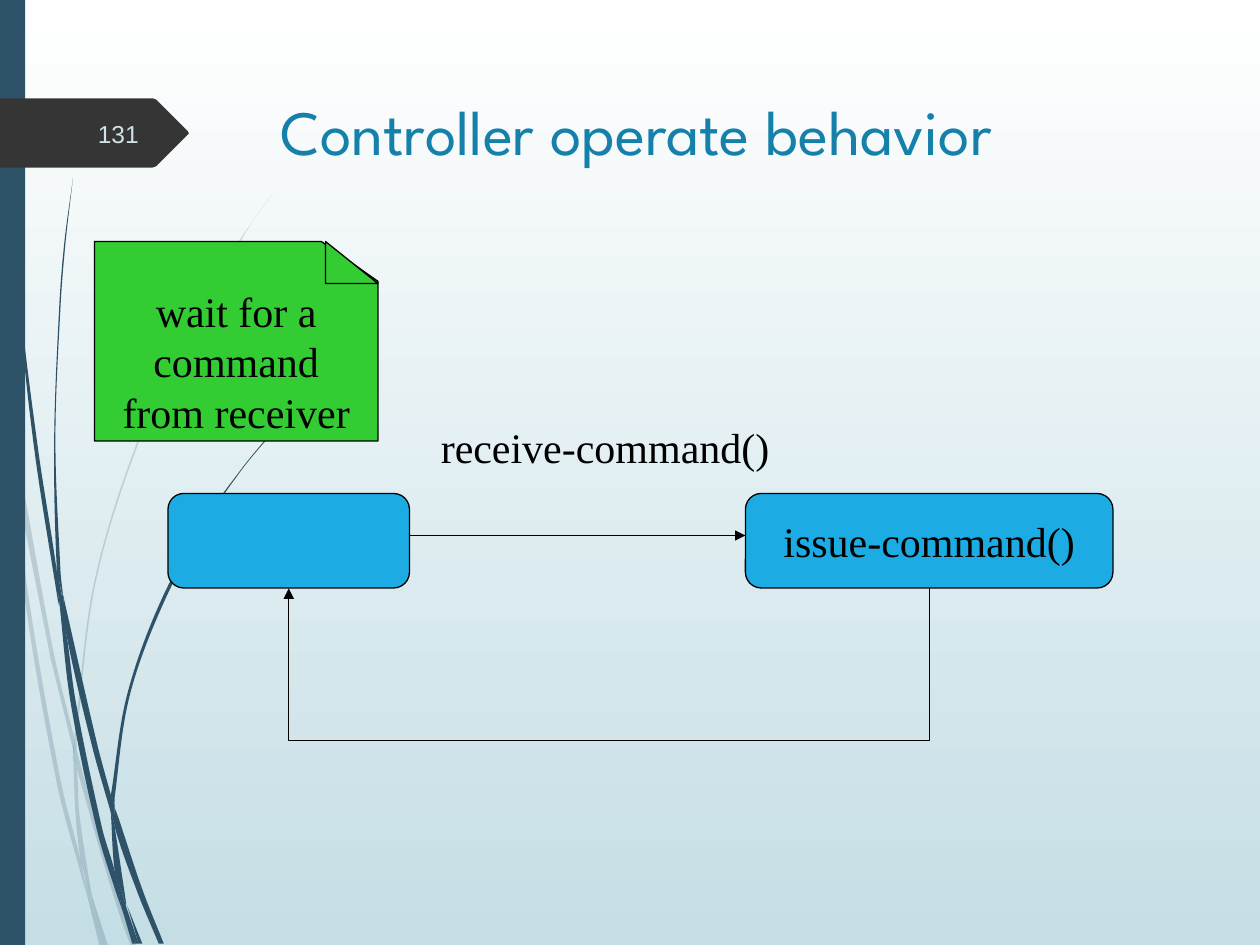
from dataclasses import dataclass
from math import dist

from lxml.etree import SubElement
from pptx import Presentation
from pptx.dml.color import RGBColor
from pptx.enum.shapes import MSO_CONNECTOR, MSO_SHAPE
from pptx.enum.text import MSO_ANCHOR, MSO_AUTO_SIZE, PP_ALIGN
from pptx.oxml.ns import qn
from pptx.util import Emu, Inches, Pt


@dataclass(frozen=True)
class Theme:
    """Colours, fonts and type sizes of the slide."""
    sky: str = "FFFFFF"
    haze: str = "C5DEE5"
    navy: str = "2E5369"
    badge: str = "353535"
    number: str = "CFE2E7"
    title: str = "1581AA"
    state: str = "1CACE3"
    note: str = "33CC33"
    ink: str = "000000"
    title_font: str = "League Spartan"
    number_font: str = "Arial"
    body_font: str = "Times New Roman"
    title_size: int = 36
    number_size: int = 14
    body_size: int = 24
    line_width: float = 0.75


THEME = Theme()
CELL = Inches(1) // 12

PALE_STRANDS = [
    ([(0.08, 3.5), (0.06, 3.22), (0, 2.82)], [(0, 2.99), (0.07, 3.44), (0.08, 3.5)]),
    ([(0.4, 5.22), (0.59, 5.99)],
     [(0.59, 5.86), (0.43, 5.2), (0.1, 3.45), (0.12, 3.76), (0.4, 5.22)]),
    ([(0.64, 6.07), (0.61, 5.96)],
     [(0.61, 6.1), (0.85, 6.94), (1.04, 7.51), (1.08, 7.51), (0.88, 6.92), (0.64, 6.07)]),
    ([(0.83, 7.51), (0.86, 7.51)], [(0.73, 7.11), (0.83, 7.51)]),
    ([(0.7, 7.14), (0.64, 6.83), (0.48, 6.19), (0.22, 4.69), (0.12, 3.76), (0.08, 3.5)],
     [(0.08, 3.5), (0.19, 4.7), (0.45, 6.21), (0.64, 6.93), (0.7, 7.14)]),
    ([(0.58, 5.99), (0.6, 6.46), (0.64, 6.83), (0.67, 6.92), (0.73, 7.11)],
     [(0.73, 7.11), (0.72, 7.06), (0.63, 6.46), (0.61, 6.1), (0.58, 5.99)]),
    ([(0.61, 5.96), (0.61, 5.84), (0.76, 4.62), (1.11, 3.49), (1.59, 2.45), (1.87, 1.98),
      (2.01, 1.75), (2.17, 1.53)],
     [(2.17, 1.53), (2.01, 1.75), (1.86, 1.97), (1.58, 2.44), (1.1, 3.48), (0.75, 4.61),
      (0.59, 5.84)]),
    ([(0.7, 7.14), (0.79, 7.51)], [(0.82, 7.51), (0.7, 7.14)]),
    ([(0.61, 6.1), (0.61, 5.96)], [(0.59, 5.86), (0.58, 5.99), (0.61, 6.08)]),
    ([(0.83, 7.51), (0.73, 7.11), (0.67, 6.92), (0.65, 6.83)],
     [(0.65, 6.83), (0.69, 7.07), (0.7, 7.14), (0.82, 7.51)]),
]
DARK_STRANDS = [
    ([(0.02, 0), (0.03, 0.48), (0.05, 1.1), (0.14, 2.33), (0.27, 3.55), (0.46, 4.77),
      (0.47, 4.81)],
     [(0.47, 4.81), (0.45, 4.53), (0.3, 3.55), (0.15, 2.32), (0.06, 1.09), (0.04, 0.48),
      (0.03, 0)]),
    ([(0.5, 4.72), (0.53, 5.05), (0.73, 5.92), (0.88, 6.45)],
     [(0.88, 6.31), (0.77, 5.9), (0.5, 4.72)]),
    ([(0.91, 6.41), (0.91, 6.56), (1.09, 7.08), (1.26, 7.49)],
     [(1.3, 7.49), (1.13, 7.06), (0.94, 6.49), (0.91, 6.41)]),
    ([(0.97, 7.22), (0.91, 6.91), (0.81, 6.57), (0.6, 5.56), (0.53, 5.05), (0.47, 4.77)],
     [(0.47, 4.77), (0.56, 5.57), (0.77, 6.59), (0.92, 7.08), (0.97, 7.22)]),
    ([(0.5, 4.72), (0.48, 4.53), (0.44, 3.49), (0.48, 2.44), (0.52, 1.93), (0.58, 1.41)],
     [(0.58, 1.41), (0.51, 1.93), (0.47, 2.44), (0.43, 3.49), (0.45, 4.49), (0.49, 4.71)]),
    ([(1.01, 7.19), (1.1, 7.49)], [(1.13, 7.49), (1.01, 7.19)]),
    ([(0.45, 4.49), (0.45, 4.53), (0.47, 4.77), (0.53, 5.05)],
     [(0.53, 5.05), (0.5, 4.72), (0.49, 4.72), (0.45, 4.49)]),
    ([(0.91, 6.41), (0.91, 6.33), (1.03, 5.52), (1.31, 4.76), (1.69, 4.06), (1.91, 3.74),
      (2.03, 3.59), (2.16, 3.44)],
     [(2.15, 3.44), (2.03, 3.58), (1.91, 3.73), (1.68, 4.05), (1.29, 4.74), (1.01, 5.51),
      (0.88, 6.31)]),
    ([(0.97, 7.22), (1.05, 7.49)], [(1.08, 7.49), (0.97, 7.22)]),
    ([(0.88, 6.45), (0.91, 6.91), (0.96, 7.06), (1, 7.19)],
     [(1, 7.16), (0.91, 6.56), (0.9, 6.51), (0.88, 6.45)]),
    ([(0.88, 6.45), (0.9, 6.51), (0.91, 6.56)], [(0.91, 6.41), (0.88, 6.31), (0.88, 6.45)]),
    ([(1.1, 7.49), (1, 7.19), (0.96, 7.06), (0.91, 6.91)],
     [(0.91, 6.91), (0.96, 7.17), (0.97, 7.22), (1.08, 7.49)]),
]
BADGE_OUTLINE = [(1.5, 1.06), (1.24, 1.32), (1.21, 1.33), (0, 1.33), (0, 0.78),
                 (1.21, 0.78), (1.24, 0.79), (1.49, 1.04)]


def cells(*counts):
    """Turn counts of grid cells into lengths."""
    return [Emu(round(n * CELL)) for n in counts]


def paint(sp, fill, line=None):
    """Give a shape a flat fill and an optional outline."""
    sp.shadow.inherit = False
    sp.fill.solid()
    sp.fill.fore_color.rgb = RGBColor.from_string(fill)
    if line:
        sp.line.color.rgb = RGBColor.from_string(line)
        sp.line.width = Pt(THEME.line_width)
    else:
        sp.line.fill.background()


def write(sp, lines, size, font, color, align=PP_ALIGN.LEFT, anchor=MSO_ANCHOR.TOP, wrap=False):
    """Write one run per paragraph into a shape."""
    tf = sp.text_frame
    tf.auto_size = MSO_AUTO_SIZE.NONE
    tf.word_wrap, tf.vertical_anchor = wrap, anchor
    for i, line in enumerate(lines):
        p = tf.add_paragraph() if i else tf.paragraphs[0]
        p.alignment = align
        r = p.add_run()
        r.text = line
        r.font.size, r.font.name = Pt(size), font
        r.font.color.rgb = RGBColor.from_string(color)


def add_outline(shapes, points, fill):
    """Draw a closed outline through points in inches."""
    corners = [(Inches(x), Inches(y)) for x, y in points]
    builder = shapes.build_freeform(*corners[0])
    builder.add_line_segments(corners[1:])
    sp = builder.convert_to_shape()
    paint(sp, fill)
    return sp


def bend(sp, split):
    """Turn the sides of an outline, which meet at a split, into smooth curves."""
    geometry = sp._element.spPr.find(qn("a:custGeom"))
    pts = [(int(pt.get("x")), int(pt.get("y"))) for pt in geometry.iter(qn("a:pt"))]
    for i, segment in enumerate(list(geometry.iter(qn("a:lnTo"))), 1):
        if i == split:
            continue
        low, high = (0, split - 1) if i < split else (split, len(pts) - 1)
        a, b, c, d = pts[max(i - 2, low)], pts[i - 1], pts[i], pts[min(i + 1, high)]
        segment.tag = qn("a:cubicBezTo")
        for n, (knot, p, q, sign) in enumerate(((b, a, c, 1), (c, b, d, -1))):
            reach = sign * dist(b, c) / (3 * dist(p, q) or 1)
            x, y = (str(round(k + reach * (v - u))) for k, u, v in zip(knot, p, q))
            segment.insert(n, segment.makeelement(qn("a:pt"), {"x": x, "y": y}))


def add_backdrop(prs, s):
    """Put the gradient, the grass strands, the side bar and the badge on the master."""
    master = prs.slide_master
    fill = master.background.fill
    fill.gradient()
    fill.gradient_angle = 270
    for stop, color in zip(fill.gradient_stops, (THEME.sky, THEME.haze)):
        stop.color.rgb = RGBColor.from_string(color)
    for strands, opacity in ((PALE_STRANDS, 20), (DARK_STRANDS, 100)):
        group = s.shapes.add_group_shape()
        for out, back in strands:
            sp = add_outline(group.shapes, out + back, THEME.navy)
            bend(sp, len(out))
            if opacity < 100:
                color = sp._element.spPr.find(qn("a:solidFill"))[0]
                SubElement(color, qn("a:alpha"), val=str(opacity * 1000))
    bar = s.shapes.add_shape(MSO_SHAPE.RECTANGLE, 0, 0, prs.slide_width // 50, prs.slide_height)
    paint(bar, THEME.navy)
    add_outline(s.shapes, BADGE_OUTLINE, THEME.badge)
    for sp in [sp for sp in s.shapes if not sp.is_placeholder]:
        master.shapes._spTree.append(sp._element)


def add_heading(s, title_box, number_box):
    """Place the title and the slide number."""
    title = s.shapes.title
    title.left, title.top, title.width, title.height = cells(*title_box)
    write(title, ["Controller operate behavior"], THEME.title_size, THEME.title_font,
          THEME.title, wrap=True)
    number = s.shapes.add_textbox(*cells(*number_box))
    write(number, ["131"], THEME.number_size, THEME.number_font, THEME.number,
          PP_ALIGN.RIGHT, MSO_ANCHOR.MIDDLE, True)


def add_block(s, kind, box, fill, lines=()):
    """Draw an outlined shape with centred text."""
    sp = s.shapes.add_shape(kind, *cells(*box))
    paint(sp, fill, THEME.ink)
    write(sp, lines, THEME.body_size, THEME.body_font, THEME.ink,
          PP_ALIGN.CENTER, MSO_ANCHOR.MIDDLE)
    return sp


def add_arrow(s, kind, start, end):
    """Draw a connector with a triangle at its end."""
    sp = s.shapes.add_connector(kind, *cells(*start, *end))
    sp.line.color.rgb = RGBColor.from_string(THEME.ink)
    sp.line.width = Pt(THEME.line_width)
    SubElement(sp.line._get_or_add_ln(), qn("a:tailEnd"), type="triangle")
    SubElement(sp._element.spPr, qn("a:effectLst"))
    return sp


def add_return_arrow(s, start, end, drop, depth=0.08):
    """Draw an elbow that drops below two points of equal height."""
    mid, half = (start[0] + end[0]) / 2, (start[0] - end[0]) / 2
    sp = add_arrow(s, MSO_CONNECTOR.ELBOW, (mid - depth / 2, start[1] - half),
                   (mid + depth / 2, start[1] + half))
    sp._element.spPr.find(qn("a:xfrm")).set("rot", str(90 * 60000))
    guides = sp._element.spPr.find(qn("a:prstGeom")).get_or_add_avLst()
    SubElement(guides, qn("a:gd"), name="adj1", fmla=f"val {round(drop / depth * 100000)}")


def add_states(s, idle, issue):
    """Draw the two states, their transitions and the transition label."""
    for box, lines in ((issue, ["issue-command()"]), (idle, [])):
        add_block(s, MSO_SHAPE.ROUNDED_RECTANGLE, box, THEME.state, lines)
    label = s.shapes.add_textbox(*cells(idle[0] + idle[2] + 1.8, idle[1] - 7.4, 33.7, 6))
    write(label, ["receive-command()"], THEME.body_size, THEME.body_font, THEME.ink)
    row, base = idle[1] + 4, idle[1] + idle[3]
    add_arrow(s, MSO_CONNECTOR.STRAIGHT, (idle[0] + idle[2], row), (issue[0], row))
    add_return_arrow(s, (issue[0] + issue[2] / 2, base), (idle[0] + idle[2] / 2, base), 14.5)


def add_note(s, box):
    """Draw the note with its folded corner."""
    card = add_block(s, MSO_SHAPE.FLOWCHART_CARD, box, THEME.note,
                     ["wait for a", "command", "from receiver"])
    card._element.spPr.find(qn("a:xfrm")).set("flipH", "1")
    add_block(s, MSO_SHAPE.RIGHT_TRIANGLE, (box[0] + box[2] - 5, box[1], 5, 4), THEME.note)


def main():
    """Build the slide and save it."""
    prs = Presentation()
    prs.slide_width, prs.slide_height = cells(120, 90)
    s = prs.slides.add_slide(prs.slide_layouts[5])
    add_backdrop(prs, s)
    add_heading(s, (25.5, 8.2, 86.5, 16.8), (6.7, 10.3, 7.7, 4.8))
    add_states(s, (16, 47, 23, 9), (71, 47, 35, 9))
    add_note(s, (9, 23, 27, 19))
    prs.save("out.pptx")


if __name__ == "__main__":
    main()
